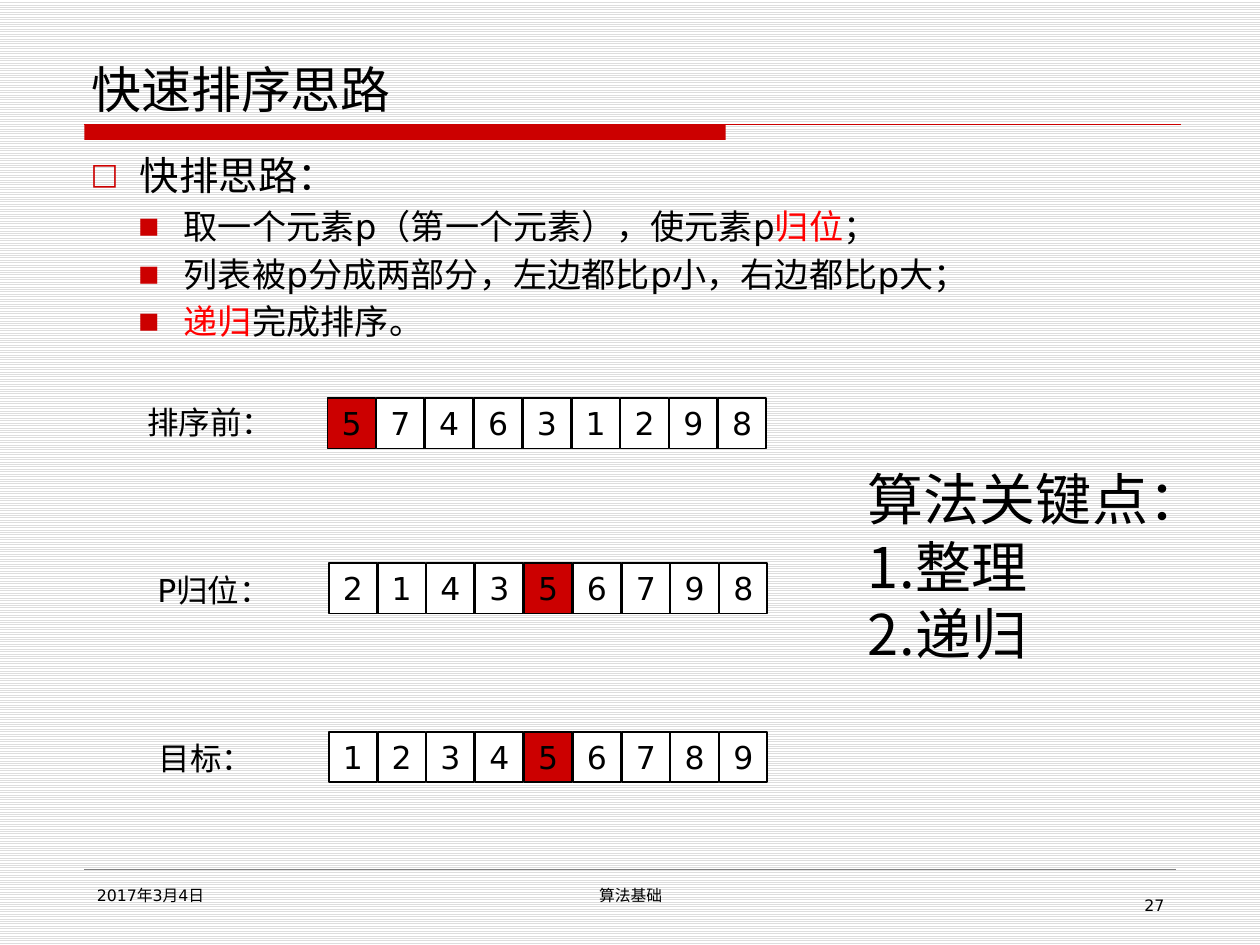
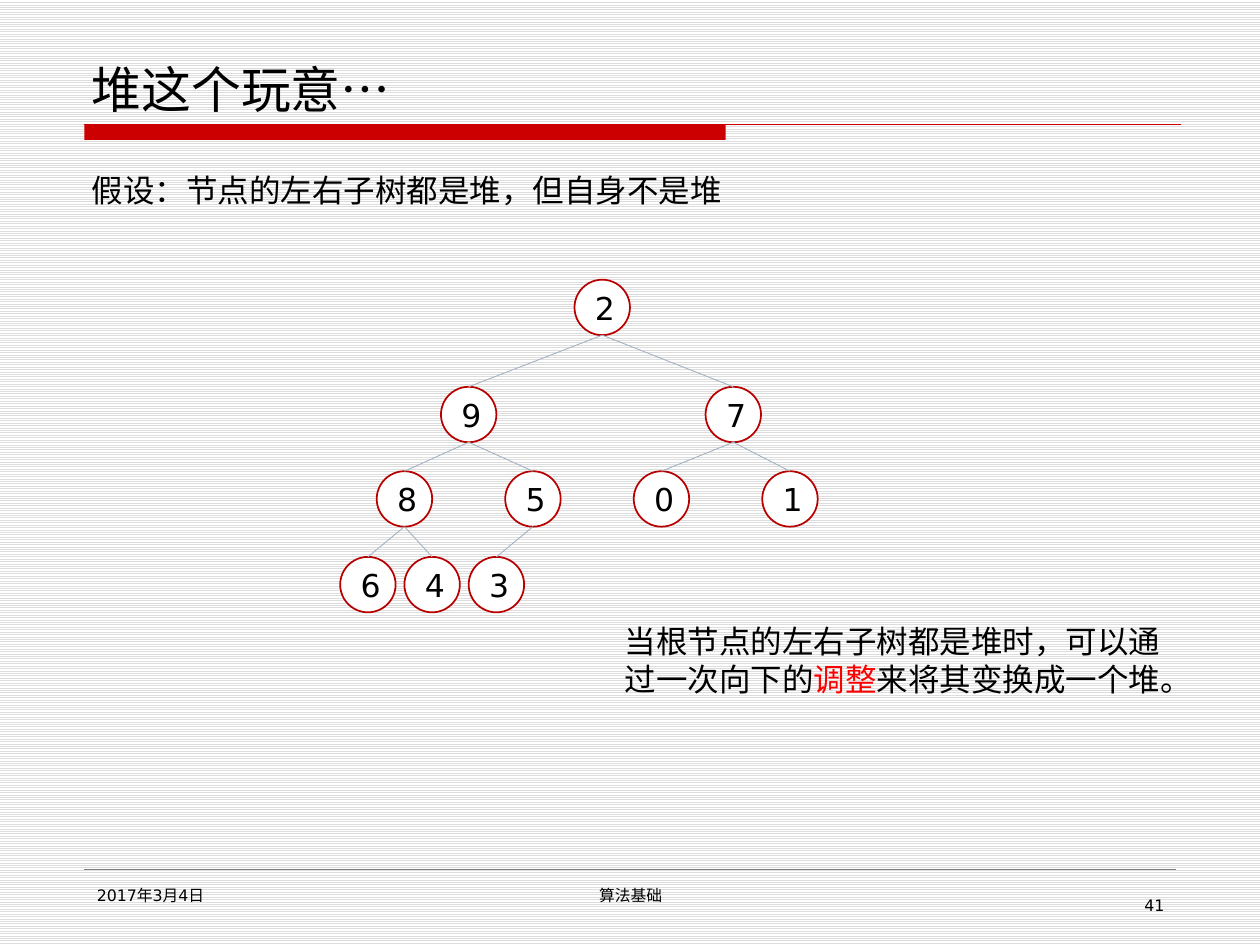
"""Build two slides on quicksort and heaps."""
from dataclasses import dataclass, field
from typing import Any, Optional

from lxml import etree
from pptx import Presentation
from pptx.dml import color
from pptx.enum import dml, shapes, text
from pptx.oxml import ns
from pptx.util import Inches, Pt

LATIN, CHINESE = "DejaVu Sans", "Noto Sans CJK SC"
BLACK, WHITE, STRIPE = "000000", "FFFFFF", "DDDDDD"
RED, ACCENT, RING = "CC0000", "FF0000", "B90000"
RULE, EDGE = "808080", "A3B2C1"
LEFT, CENTER, RIGHT = text.PP_ALIGN.LEFT, text.PP_ALIGN.CENTER, text.PP_ALIGN.RIGHT
TOP, MIDDLE, BOTTOM = text.MSO_ANCHOR.TOP, text.MSO_ANCHOR.MIDDLE, text.MSO_ANCHOR.BOTTOM
CELL_WIDTH, CELL_HEIGHT, ROW_SPAN = 0.38, 0.4, 3.1
NODE = 0.44


@dataclass
class Bullet:
    """A list marker: a symbol, or a running number when there is none."""
    indent: float
    hang: float
    symbol: str = ""
    percent: int = 100


@dataclass
class Para:
    """A paragraph of (wording, colour) spans."""
    spans: list[tuple[str, str]]
    size: float = 18
    align: Any = LEFT
    before: float = 0
    bullet: Optional[Bullet] = None
    font: str = LATIN


@dataclass
class TextBox:
    """A placed box of paragraphs."""
    left: float
    top: float
    width: float
    height: float
    paras: list[Para] = field(default_factory=list)
    anchor: Any = TOP


@dataclass
class ArrayRow:
    """A labelled row of array cells with the pivot marked."""
    label: str
    label_left: float
    label_top: float
    left: float
    top: float
    values: str
    pivot: str = "5"


@dataclass
class TreeLevel:
    """One level of the tree, its nodes evenly pitched."""
    top: float
    left: float
    pitch: float
    values: str


def rgb(value: str) -> color.RGBColor:
    """Turn a hex string into a colour."""
    return color.RGBColor.from_string(value)


def plain(wording: str, **options: Any) -> Para:
    """Make a paragraph of one black span."""
    return Para([(wording, BLACK)], **options)


def set_bullet(para: Any, bullet: Bullet) -> None:
    """Give a paragraph a hanging marker."""
    props = para._p.get_or_add_pPr()
    props.set("marL", str(Inches(bullet.indent)))
    props.set("indent", str(-Inches(bullet.hang)))
    if not bullet.symbol:
        etree.SubElement(props, ns.qn("a:buAutoNum"), type="arabicPeriod")
        return
    tint = etree.SubElement(props, ns.qn("a:buClr"))
    etree.SubElement(tint, ns.qn("a:srgbClr"), val=RED)
    etree.SubElement(props, ns.qn("a:buSzPct"), val=str(bullet.percent * 1000))
    etree.SubElement(props, ns.qn("a:buFont"), typeface=LATIN)
    etree.SubElement(props, ns.qn("a:buChar"), char=bullet.symbol)


def write(frame: Any, paras: list[Para], anchor: Any = TOP) -> None:
    """Fill a text frame run by run."""
    frame.word_wrap = True
    frame.vertical_anchor = anchor
    for index, item in enumerate(paras):
        para = frame.add_paragraph() if index else frame.paragraphs[0]
        para.alignment = item.align
        para.space_before = Pt(item.before)
        if item.bullet:
            set_bullet(para, item.bullet)
        for wording, tint in item.spans:
            span = para.add_run()
            span.text = wording
            span.font.size = Pt(item.size)
            span.font.name = item.font
            span.font.color.rgb = rgb(tint)
            etree.SubElement(span._r.get_or_add_rPr(), ns.qn("a:ea"), typeface=CHINESE)


def add_text(page: Any, item: TextBox) -> None:
    """Place a text box."""
    box = page.shapes.add_textbox(*map(Inches, (item.left, item.top, item.width, item.height)))
    write(box.text_frame, item.paras, item.anchor)


def add_shape(parent: Any, kind: Any, left: float, top: float, width: float, height: float,
              fill: str, line: Optional[str] = None, label: str = "") -> Any:
    """Place a flat shape, with a centred label if one is given."""
    shape = parent.shapes.add_shape(kind, *map(Inches, (left, top, width, height)))
    shape.shadow.inherit = False
    shape.fill.solid()
    shape.fill.fore_color.rgb = rgb(fill)
    if line:
        shape.line.color.rgb = rgb(line)
        shape.line.width = Pt(1)
    else:
        shape.line.fill.background()
    if label:
        write(shape.text_frame, [plain(label, align=CENTER)], MIDDLE)
    return shape


def add_line(page: Any, start: tuple[float, float], end: tuple[float, float],
             tint: str, width: float) -> Any:
    """Draw a straight line without shadow."""
    line = page.shapes.add_connector(shapes.MSO_CONNECTOR.STRAIGHT, *map(Inches, start + end))
    line.line.color.rgb = rgb(tint)
    line.line.width = Pt(width)
    etree.SubElement(line._element.spPr, ns.qn("a:effectLst"))
    return line


def set_background(deck: Any) -> None:
    """Stripe the background of every slide."""
    fill = deck.slide_master.background.fill
    fill.patterned()
    fill.pattern = dml.MSO_PATTERN.LIGHT_HORIZONTAL
    fill.fore_color.rgb = rgb(STRIPE)
    fill.back_color.rgb = rgb(WHITE)


def add_page(deck: Any, title: str, number: int) -> Any:
    """Add a slide with its title, band and footer."""
    page = deck.slides.add_slide(deck.slide_layouts[6])
    add_shape(page, shapes.MSO_SHAPE.RECTANGLE, 0.67, 0.99, 5.09, 0.12, RED)
    add_line(page, (0.67, 0.99), (9.37, 0.99), RED, 0.75)
    add_line(page, (0.67, 6.9), (9.33, 6.9), RULE, 0.25)
    for item in (
        TextBox(0.63, 0.33, 8.75, 0.66, [plain(title, size=28.5)], BOTTOM),
        TextBox(0.67, 6.98, 2.17, 0.37, [plain("2017年3月4日", size=9)]),
        TextBox(3.42, 6.98, 3.17, 0.37, [plain("算法基础", size=9, align=CENTER)]),
        TextBox(7.17, 7.06, 2.17, 0.29, [plain(str(number), size=9, align=RIGHT)]),
    ):
        add_text(page, item)
    return page


def add_array(page: Any, row: ArrayRow) -> None:
    """Draw a labelled array as a group of cells."""
    group = page.shapes.add_group_shape()
    pitch = ROW_SPAN / (len(row.values) - 1)
    for index, value in enumerate(row.values):
        add_shape(group, shapes.MSO_SHAPE.RECTANGLE, row.left + index * pitch, row.top,
                  CELL_WIDTH, CELL_HEIGHT, RED if value == row.pivot else WHITE, BLACK, value)
    add_text(page, TextBox(row.label_left, row.label_top, 1.22, 0.4, [plain(row.label)]))


def add_tree(page: Any, levels: list[TreeLevel]) -> None:
    """Draw a binary tree, joining each node to its parent."""
    places = [(level.left + index * level.pitch, level.top, value)
              for level in levels for index, value in enumerate(level.values)]
    nodes = [add_shape(page, shapes.MSO_SHAPE.OVAL, left, top, NODE, NODE, WHITE, RING, value)
             for left, top, value in places]
    for index in range(1, len(places)):
        left, top, _ = places[index]
        parent_left, parent_top, _ = places[(index - 1) // 2]
        edge = add_line(page, (parent_left + NODE / 2, parent_top + NODE),
                        (left + NODE / 2, top), EDGE, 0.5)
        edge.end_connect(nodes[index], 0)


def build_quicksort(deck: Any) -> None:
    """Build the quicksort slide."""
    page = add_page(deck, "快速排序思路", 27)
    point = {"size": 19.5, "before": 3.9, "bullet": Bullet(0.74, 0.36, "■", 65)}
    add_text(page, TextBox(0.62, 1.15, 8.75, 5.43, [
        plain("快排思路：", size=22.5, before=4.5, bullet=Bullet(0.39, 0.39, "□", 75)),
        Para([("取一个元素p（第一个元素），使元素p", BLACK), ("归位", ACCENT), ("；", BLACK)], **point),
        plain("列表被p分成两部分，左边都比p小，右边都比p大；", **point),
        Para([("递归", ACCENT), ("完成排序。", BLACK)], **point),
    ]))
    for row in (
        ArrayRow("排序前：", 1.07, 3.15, 2.6, 3.16, "574631298"),
        ArrayRow("P归位：", 1.15, 4.48, 2.61, 4.47, "214356798"),
        ArrayRow("目标：", 1.16, 5.82, 2.61, 5.81, "123456789"),
    ):
        add_array(page, row)
    step = {"size": 32, "bullet": Bullet(0.38, 0.38)}
    add_text(page, TextBox(6.79, 3.64, 2.49, 1.72, [
        plain("算法关键点：", size=32), plain("整理", **step), plain("递归", **step)]))


def build_heap(deck: Any) -> None:
    """Build the heap slide."""
    page = add_page(deck, "堆这个玩意…", 41)
    add_tree(page, [
        TreeLevel(2.22, 4.56, 0, "2"),
        TreeLevel(3.07, 3.5, 2.1, "97"),
        TreeLevel(3.74, 2.99, 1.02, "8501"),
        TreeLevel(4.42, 2.7, 0.51, "643"),
    ])
    add_text(page, TextBox(0.63, 1.31, 5.41, 0.4, [plain("假设：节点的左右子树都是堆，但自身不是堆")]))
    add_text(page, TextBox(4.86, 4.89, 4.47, 0.71, [Para([
        ("当根节点的左右子树都是堆时，可以通过一次向下的", BLACK), ("调整", ACCENT),
        ("来将其变换成一个堆。", BLACK)], font=CHINESE)]))


def main() -> None:
    """Build and save the deck."""
    deck = Presentation()
    deck.slide_width, deck.slide_height = Inches(10), Inches(7.5)
    set_background(deck)
    build_quicksort(deck)
    build_heap(deck)
    deck.save("out.pptx")


if __name__ == "__main__":
    main()
